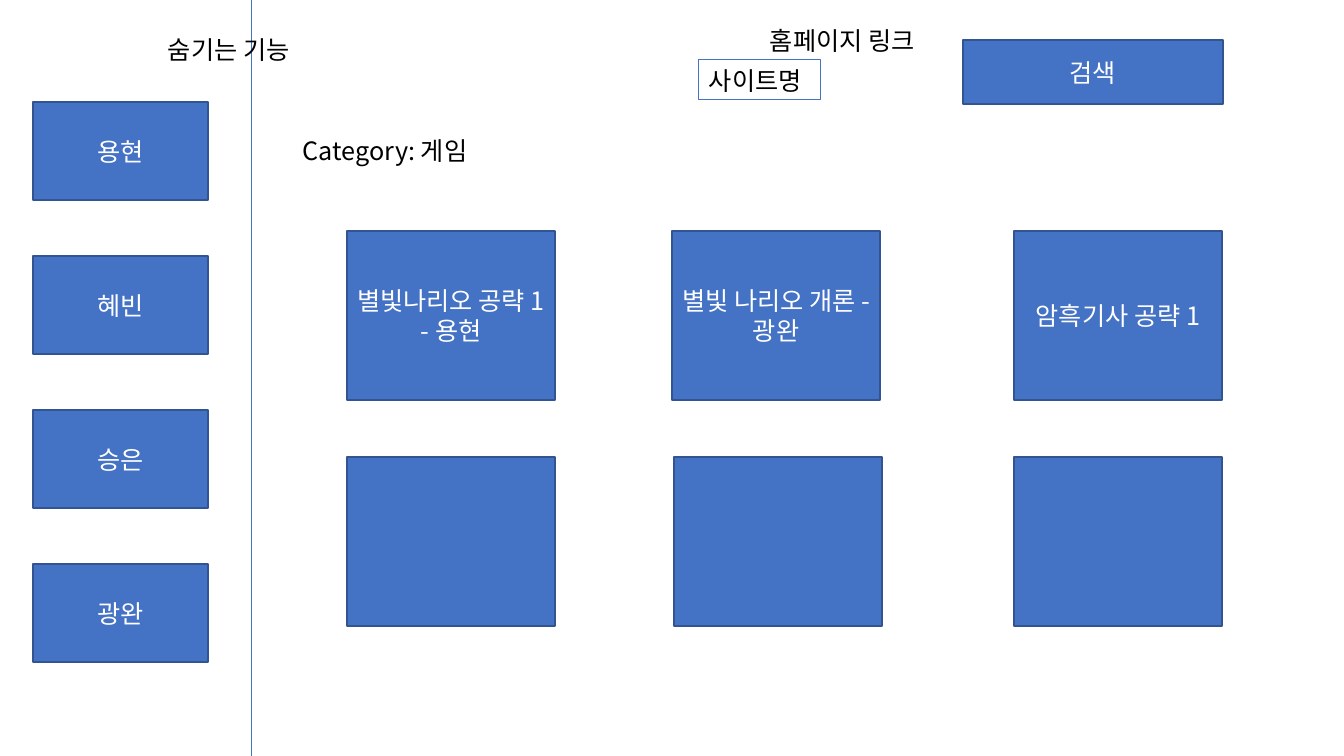
from lxml import etree
from pptx import Presentation
from pptx.dml.color import RGBColor
from pptx.enum.shapes import MSO_CONNECTOR, MSO_SHAPE
from pptx.enum.text import MSO_ANCHOR, MSO_AUTO_SIZE, PP_ALIGN
from pptx.oxml.ns import qn
from pptx.util import Pt

RECTANGLE = MSO_SHAPE.RECTANGLE
STRAIGHT = MSO_CONNECTOR.STRAIGHT
MIDDLE = MSO_ANCHOR.MIDDLE
CENTER = PP_ALIGN.CENTER
FIT_SHAPE = MSO_AUTO_SIZE.SHAPE_TO_FIT_TEXT

EMU_PER_PX = 914400 / 100.8
SLIDE_W, SLIDE_H = 1344, 756
FONT = "Noto Sans CJK KR"
COLORS = {
    "accent": "4472C4",
    "outline": "325491",
    "ink": "000000",
    "paper": "FFFFFF",
}


def px(length):
    return round(length * EMU_PER_PX)


def color(name):
    return RGBColor.from_string(COLORS[name])


def add_words(paragraph, words, ink):
    run = paragraph.add_run()
    run.text = words
    run.font.size = Pt(18)
    run.font.name = FONT
    run.font.color.rgb = color(ink)
    east_asian = etree.SubElement(run.font._element, qn("a:ea"))
    east_asian.set("typeface", FONT)


def add_button(slide, left, top, width, height, words=""):
    button = slide.shapes.add_shape(
        RECTANGLE, px(left), px(top), px(width), px(height))
    button.shadow.inherit = False
    button.fill.solid()
    button.fill.fore_color.rgb = color("accent")
    button.line.color.rgb = color("outline")
    button.line.width = Pt(1)
    if words:
        frame = button.text_frame
        frame.word_wrap = True
        frame.vertical_anchor = MIDDLE
        frame.paragraphs[0].alignment = CENTER
        add_words(frame.paragraphs[0], words, "paper")


def add_label(slide, left, top, width, words):
    label = slide.shapes.add_textbox(px(left), px(top), px(width), px(40))
    label.text_frame.word_wrap = False
    label.text_frame.auto_size = FIT_SHAPE
    add_words(label.text_frame.paragraphs[0], words, "ink")
    return label


def add_sidebar(slide, left, top, width, height):
    """Place the member buttons and the full-height divider at the right edge."""
    edge = px(left + width)
    divider = slide.shapes.add_connector(
        STRAIGHT, edge, px(top), edge, px(top + height))
    divider.line.color.rgb = color("accent")
    divider.line.width = Pt(0.5)
    etree.SubElement(divider._element.spPr, qn("a:effectLst"))

    for row, member in enumerate(["용현", "혜빈", "승은", "광완"]):
        add_button(slide, left + 33, top + 102 + 154 * row, 175, 98, member)
    add_label(slide, left + 158, top + 29, 156, "숨기는 기능")


def add_header(slide, left, top):
    """Place the site name, its link note and the search button."""
    site_name = add_label(slide, left, top + 40, 122, "사이트명")
    site_name.line.color.rgb = color("accent")
    site_name.line.width = Pt(0.75)
    add_label(slide, left + 61, top, 182, "홈페이지 링크")
    add_button(slide, left + 264, top + 20, 260, 64, "검색")


def add_posts(slide, left, top):
    """Place the category line and two rows of post cards below it."""
    add_label(slide, left, top, 190, "Category: 게임")
    rows = [
        [(54, "별빛나리오 공략 1 - 용현"),
         (379, "별빛 나리오 개론 - 광완"),
         (721, "암흑기사 공략 1")],
        [(54, ""), (381, ""), (721, "")],
    ]
    for row, cards in enumerate(rows):
        for offset, post in cards:
            add_button(slide, left + offset, top + 101 + 226 * row,
                       208, 169, post)


def main():
    presentation = Presentation()
    presentation.slide_width = px(SLIDE_W)
    presentation.slide_height = px(SLIDE_H)
    slide = presentation.slides.add_slide(presentation.slide_layouts[6])
    add_sidebar(slide, 0, 0, 251, SLIDE_H)
    add_header(slide, 699, 20)
    add_posts(slide, 293, 130)
    presentation.save("out.pptx")


if __name__ == "__main__":
    main()
